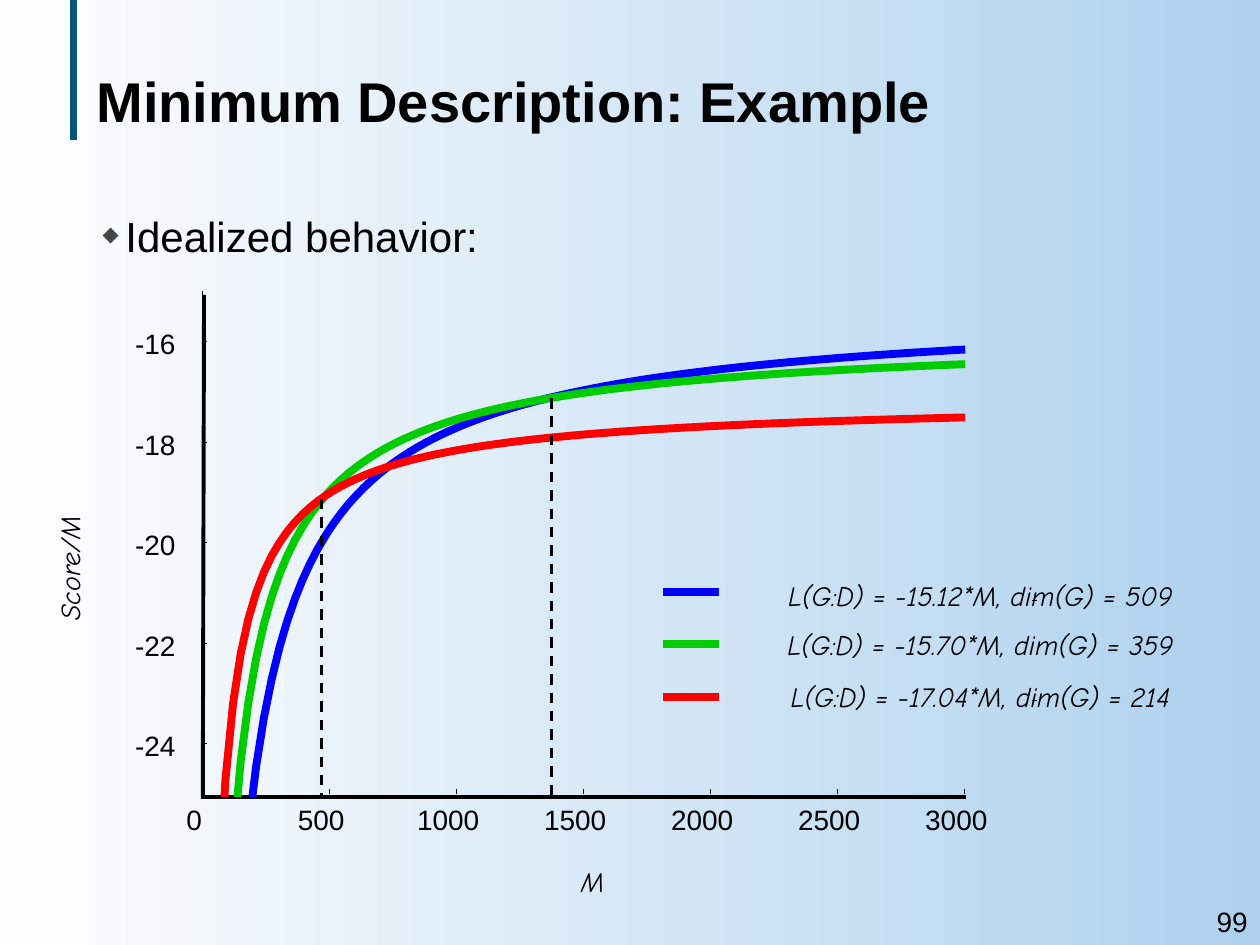
from dataclasses import dataclass
from math import log2

from lxml.etree import SubElement
from pptx import Presentation
from pptx.dml.color import RGBColor
from pptx.enum.dml import MSO_LINE as Dash
from pptx.enum.text import MSO_ANCHOR as Anchor, MSO_AUTO_SIZE as AutoSize, PP_ALIGN as Align
from pptx.oxml.ns import qn
from pptx.util import Pt

BLACK = RGBColor(0x00, 0x00, 0x00)
BLUE = RGBColor(0x00, 0x00, 0xFF)
GREEN = RGBColor(0x00, 0xCC, 0x00)
RED = RGBColor(0xFF, 0x00, 0x00)
TEAL = RGBColor(0x07, 0x54, 0x7A)
SKY = RGBColor(0xAE, 0xD1, 0xEE)
WHITE = RGBColor(0xFE, 0xFE, 0xFE)
BULLET_GRAY = "474747"

SANS = "Arial"
HAND = "Comic Neue"
PADDED = (7.2, 3.6)
TIGHT = (0, 0)

HAIRLINE = 0.05
SAMPLE_STEPS = 99
MAX_M = 3000
FLOOR_SCORE = -25
DIGIT_WIDTH = 8.95


@dataclass(frozen=True)
class Network:
    fit: float
    dim: int
    color: RGBColor
    legend_top: float

    def score(self, m: float) -> float:
        return self.fit - self.dim * log2(m) / (2 * m)

    @property
    def legend(self) -> str:
        return f"L(G:D) = {self.fit:.2f}*M, dim(G) = {self.dim}"


@dataclass(frozen=True)
class Stroke:
    x1: float
    y1: float
    x2: float
    y2: float
    width: float = HAIRLINE
    color: RGBColor = BLACK
    dashed: bool = False


NETWORKS = (
    Network(-15.12, 509, BLUE, 327),
    Network(-15.70, 359, GREEN, 355),
    Network(-17.04, 214, RED, 384.5),
)
AXES = (
    Stroke(116.6, 168.5, 115.9, 456.5, 2.25),
    Stroke(116.6, 455.6, 552.2, 455.6, 2.25),
)
CROSSINGS = (
    Stroke(183.8, 285.1, 183.8, 455, 1.5, dashed=True),
    Stroke(315.2, 227.5, 315.2, 456.5, 1.5, dashed=True),
)


def add_text(slide, text: str, left: float, top: float, width: float, height: float, *,
             size: float = 16, font: str = SANS, bold: bool = False, italic: bool = False,
             align=Align.LEFT, anchor=Anchor.TOP, insets=TIGHT, wrap: bool = False,
             rotation: float = 0, bullet: str = "") -> None:
    box = slide.shapes.add_textbox(Pt(left), Pt(top), Pt(width), Pt(height))
    box.rotation = rotation
    frame = box.text_frame
    frame.word_wrap = wrap
    frame.auto_size = AutoSize.NONE if wrap else AutoSize.SHAPE_TO_FIT_TEXT
    frame.vertical_anchor = anchor
    frame.margin_left = frame.margin_right = Pt(insets[0])
    frame.margin_top = frame.margin_bottom = Pt(insets[1])
    paragraph = frame.paragraphs[0]
    paragraph.alignment = align
    if bullet:
        add_bullet(paragraph, bullet)
    run = paragraph.add_run()
    run.text = text
    run.font.size = Pt(size)
    run.font.name = font
    run.font.bold = bold
    run.font.italic = italic
    run.font.color.rgb = BLACK


def add_bullet(paragraph, symbol: str) -> None:
    properties = paragraph._p.get_or_add_pPr()
    properties.set("marL", str(Pt(16.4)))
    properties.set("indent", str(-Pt(13)))
    color = SubElement(properties, qn("a:buClr"))
    SubElement(color, qn("a:srgbClr"), val=BULLET_GRAY)
    SubElement(properties, qn("a:buSzPct"), val="50000")
    SubElement(properties, qn("a:buChar"), char=symbol)


def add_stroke(slide, stroke: Stroke) -> None:
    connector = slide.shapes.add_connector(
        1, Pt(stroke.x1), Pt(stroke.y1), Pt(stroke.x2), Pt(stroke.y2))
    connector.line.color.rgb = stroke.color
    connector.line.width = Pt(stroke.width)
    if stroke.dashed:
        connector.line.dash_style = Dash.DASH
    SubElement(connector._element.spPr, qn("a:effectLst"))


def curve_samples(network: Network) -> list[tuple[float, float]]:
    grid = [MAX_M * k / SAMPLE_STEPS for k in range(1, SAMPLE_STEPS + 1)]
    samples = [(m, network.score(m)) for m in grid]
    first = next(i for i, (_, score) in enumerate(samples) if score > FLOOR_SCORE)
    (m1, s1), (m2, s2) = samples[first - 1:first + 1]
    entry = m1 + (m2 - m1) * (FLOOR_SCORE - s1) / (s2 - s1)
    return [(entry, FLOOR_SCORE), *samples[first:]]


def add_curve(slide, network: Network) -> None:
    points = [(Pt(115.56 + 436 * m / MAX_M), Pt(196.85 - 28.73 * (score + 16)))
              for m, score in curve_samples(network)]
    builder = slide.shapes.build_freeform(*points[0])
    builder.add_line_segments(points[1:], close=False)
    curve = builder.convert_to_shape()
    curve.shadow.inherit = False
    curve.fill.background()
    curve.line.color.rgb = network.color
    curve.line.width = Pt(4.5)


def add_legend(slide) -> None:
    for row, network in enumerate(NETWORKS):
        y = 338.3 + 29.9 * row
        add_stroke(slide, Stroke(378.7, y, 411.1, y, 4.5, network.color))
        add_text(slide, network.legend, 442.8, network.legend_top, 235, 26.6, font=HAND,
                 italic=True, align=Align.CENTER, anchor=Anchor.MIDDLE, insets=PADDED)
    for y in (400.3, 342.7):
        add_stroke(slide, Stroke(592.6, y, 589.7, y))


def add_axes(slide) -> None:
    for axis in AXES:
        add_stroke(slide, axis)
    for step, score in enumerate(range(-16, -25, -2)):
        y = 195.1 + 57.4 * step
        add_stroke(slide, Stroke(115.2, y, 118.1, y))
        add_text(slide, str(score), 77.2, y - 8.2, 23.4, 19.4)
    add_stroke(slide, Stroke(115.2, 166.3, 115.2, 169.2))
    for step, m in enumerate(range(0, MAX_M + 1, 500)):
        x = 115.2 + 72.6 * step
        label_width = DIGIT_WIDTH * len(str(m))
        add_stroke(slide, Stroke(x, 453.6, x, 450.7))
        add_text(slide, str(m), x - 4.2 - label_width / 2, 458.6, label_width, 19.4)
    add_text(slide, "M", 331.9, 493.9, 13.7, 19.4, font=HAND, italic=True)
    add_text(slide, "Score/M", 9.4, 314.6, 60.5, 19.4, font=HAND, italic=True, rotation=270)


def main() -> None:
    deck = Presentation()
    deck.slide_width, deck.slide_height = Pt(720), Pt(540)
    slide = deck.slides.add_slide(deck.slide_layouts[6])
    backdrop = slide.background.fill
    backdrop.gradient()
    backdrop.gradient_angle = 180
    for stop, color in zip(backdrop.gradient_stops, (SKY, WHITE)):
        stop.color.rgb = color

    add_stroke(slide, Stroke(41.8, 0, 41.8, 79.9, 4, TEAL))
    add_text(slide, "Minimum Description: Example", 48, 12.2, 642.2, 90, size=32,
             bold=True, anchor=Anchor.MIDDLE, insets=PADDED, wrap=True)
    add_text(slide, "Idealized behavior:", 48.2, 117, 642.2, 375.8, size=24,
             insets=PADDED, wrap=True, bullet="◆")
    add_legend(slide)
    add_axes(slide)
    for network in NETWORKS:
        add_curve(slide, network)
    for crossing in CROSSINGS:
        add_stroke(slide, crossing)
    add_text(slide, "99", 647.3, 513.4, 72.7, 26.6, align=Align.RIGHT,
             anchor=Anchor.MIDDLE, insets=PADDED, wrap=True)
    deck.save("out.pptx")


if __name__ == "__main__":
    main()
